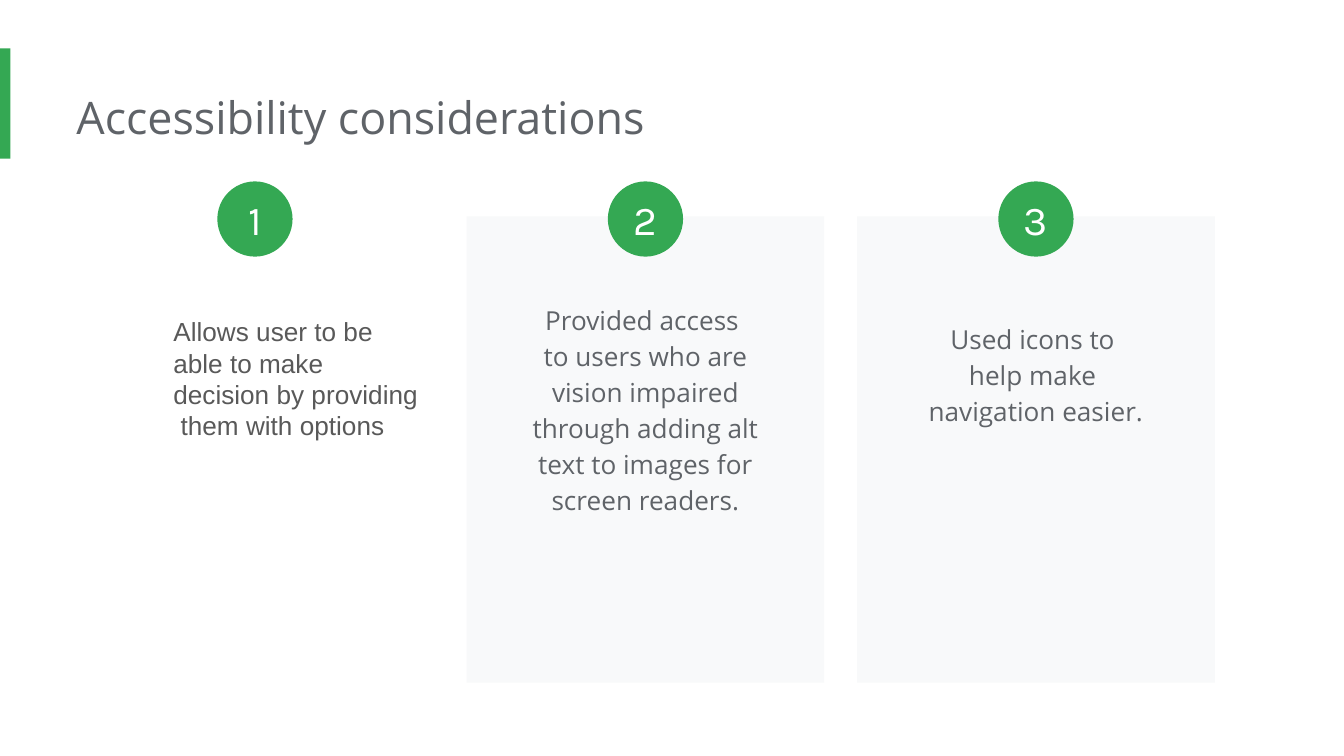
from copy import deepcopy

from pptx import Presentation
from pptx.dml.color import RGBColor
from pptx.enum import shapes, text
from pptx.oxml import ns
from pptx.util import Pt

GREEN, CARD, GREY, DARK, WHITE = "34A853", "F8F9FA", "5F6368", "595959", "FFFFFF"
LEFT, CENTER = text.PP_ALIGN.LEFT, text.PP_ALIGN.CENTER
TITLE = "Accessibility considerations"
BODY = dict(font="Open Sans", size=14, color=GREY, align=CENTER, spacing=1.15, insets=(7.2,) * 4)
CONSIDERATIONS = [
    dict(words="Allows user to be\vable to make\vdecision by providing\v them with options",
         card=False, shift=23.7, top=165.6, width=149, height=75,
         style=dict(font="Arial", size=14, color=DARK, align=LEFT, insets=(7.2, 3.6, 7.2, 3.6))),
    dict(words="Provided access \vto users who are vision impaired through adding alt text to images for screen readers.",
         card=True, shift=0, top=153.4, width=161.3, height=131.8, style=BODY),
    dict(words="Used icons to \vhelp make \vnavigation easier.",
         card=True, shift=0, top=163.4, width=161.3, height=70.6, style=BODY),
]
FIRST_CENTER, PITCH = 136.6, 209.2
CARD_TOP, CARD_WIDTH, CARD_HEIGHT = 115.9, 191.6, 249.8
BADGE_TOP, BADGE_SIZE = 97.2, 40.3


def rgb(value):
    return RGBColor.from_string(value)


def write(shape, words, font, size, color, align=LEFT, spacing=None,
          insets=(0, 0, 0, 0), anchor=text.MSO_ANCHOR.TOP):
    frame = shape.text_frame
    left, top, right, bottom = map(Pt, insets)
    values = dict(word_wrap=True, vertical_anchor=anchor, margin_left=left,
                  margin_top=top, margin_right=right, margin_bottom=bottom, text=words)
    for name, value in values.items():
        setattr(frame, name, value)
    paragraph = frame.paragraphs[0]
    paragraph.alignment = align
    paragraph.line_spacing = spacing
    for run in paragraph.runs:
        for name, value in dict(name=font, size=Pt(size)).items():
            setattr(run.font, name, value)
        run.font.color.rgb = rgb(color)
    for line_break in paragraph._p.findall(ns.qn("a:br")):
        line_break.append(deepcopy(paragraph.runs[0]._r.rPr))


def add_block(slide, kind, box, color):
    shape = slide.shapes.add_shape(kind, *map(Pt, box))
    shape.shadow.inherit = False
    shape.fill.solid()
    shape.fill.fore_color.rgb = rgb(color)
    shape.line.fill.background()
    return shape


def add_words(slide, box, words, **style):
    write(slide.shapes.add_textbox(*map(Pt, box)), words, **style)


def main():
    presentation = Presentation()
    presentation.slide_width, presentation.slide_height = Pt(720), Pt(405)
    slide = presentation.slides.add_slide(presentation.slide_layouts[6])
    rectangle, oval = shapes.MSO_SHAPE.RECTANGLE, shapes.MSO_SHAPE.OVAL

    add_block(slide, rectangle, (0, 25.9, 5.6, 59.2), GREEN)
    add_words(slide, (41, 41, 551.5, 44), TITLE, font="Open Sans", size=24,
              color=GREY, insets=(0, 7.2, 7.2, 7.2))

    for index, item in enumerate(CONSIDERATIONS):
        center = FIRST_CENTER + index * PITCH
        if item["card"]:
            add_block(slide, rectangle,
                      (center - CARD_WIDTH / 2, CARD_TOP, CARD_WIDTH, CARD_HEIGHT), CARD)
        badge = add_block(slide, oval,
                          (center - BADGE_SIZE / 2, BADGE_TOP, BADGE_SIZE, BADGE_SIZE), GREEN)
        write(badge, str(index + 1), font="Karla", size=22, color=WHITE,
              align=CENTER, anchor=text.MSO_ANCHOR.MIDDLE)
        left = center + item["shift"] - item["width"] / 2
        add_words(slide, (left, item["top"], item["width"], item["height"]),
                  item["words"], **item["style"])

    presentation.save("out.pptx")


if __name__ == "__main__":
    main()
